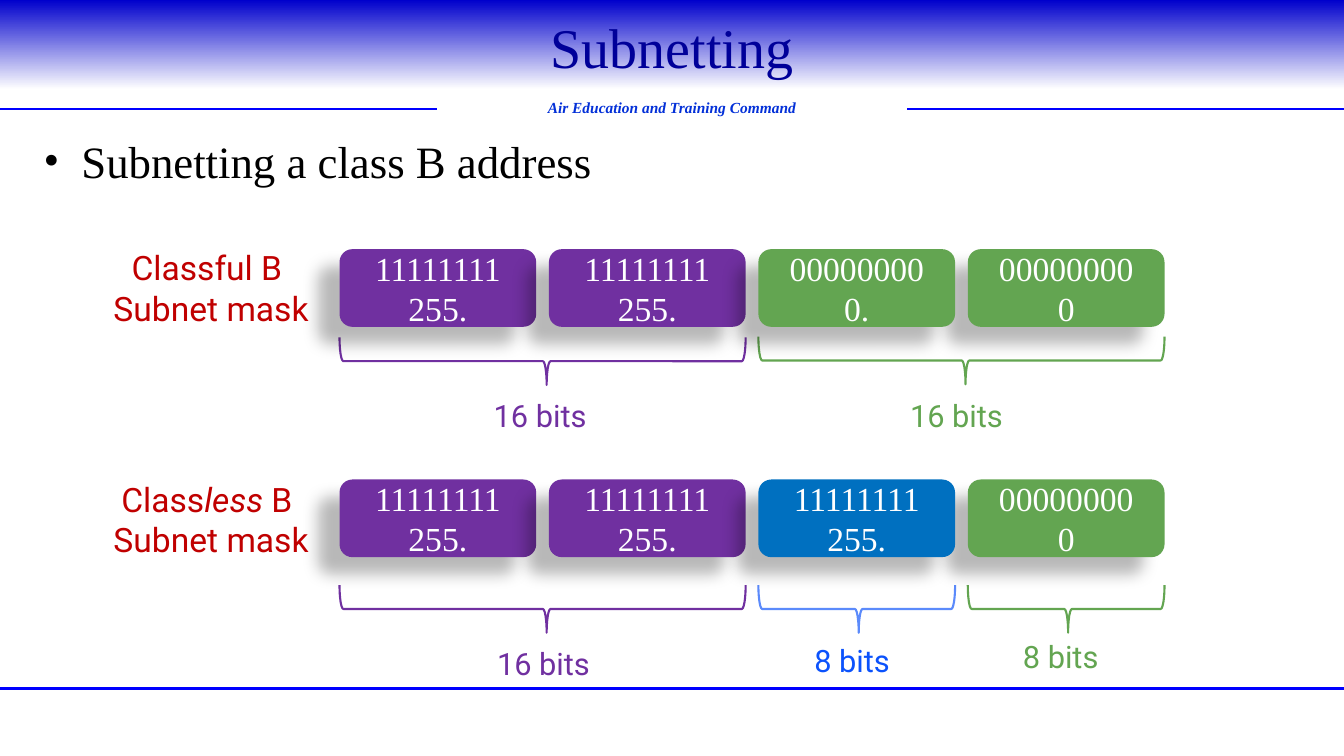
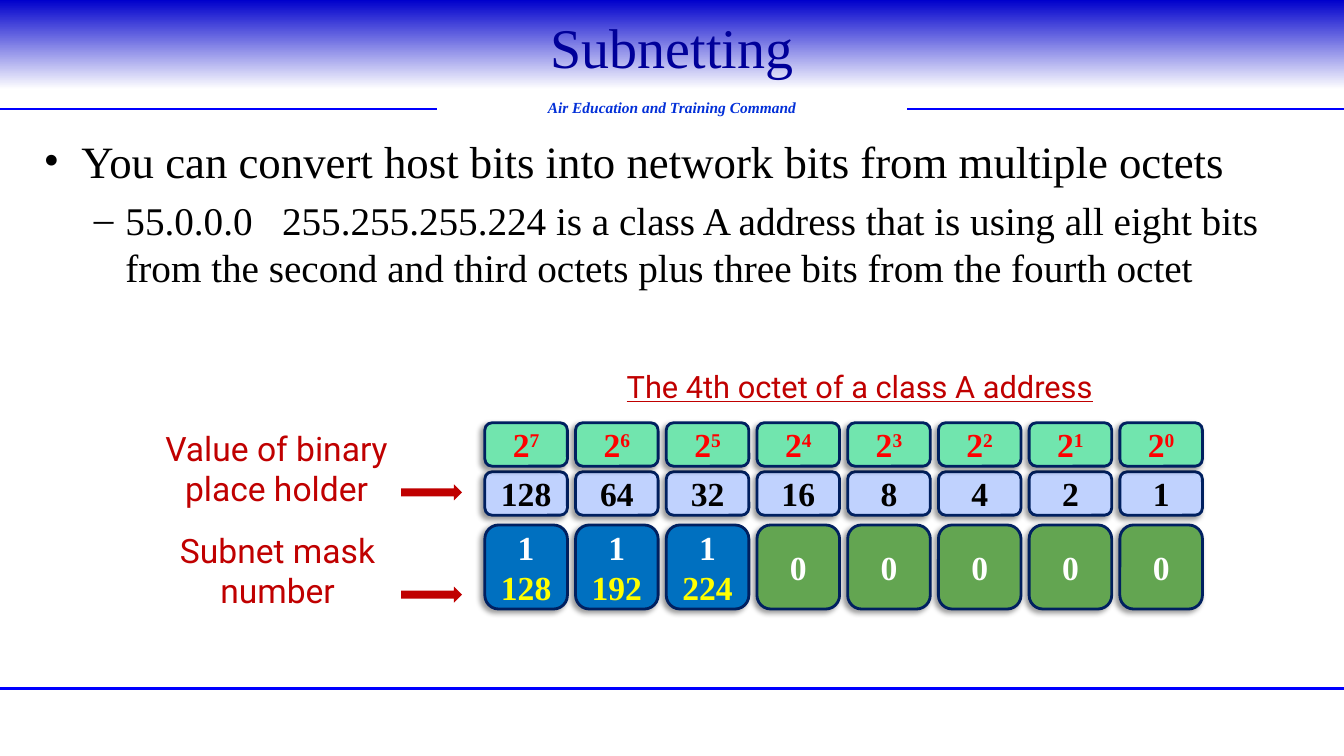
from lxml import etree
from pptx import Presentation
from pptx.dml.color import RGBColor
from pptx.enum.shapes import MSO_CONNECTOR, MSO_SHAPE
from pptx.enum.text import MSO_ANCHOR, MSO_AUTO_SIZE, PP_ALIGN
from pptx.oxml.ns import qn
from pptx.util import Pt

RECTANGLE = MSO_SHAPE.RECTANGLE
ROUNDED = MSO_SHAPE.ROUNDED_RECTANGLE
BRACE = MSO_SHAPE.RIGHT_BRACE
ARROW = MSO_SHAPE.RIGHT_ARROW
STRAIGHT = MSO_CONNECTOR.STRAIGHT
LEFT, CENTER = PP_ALIGN.LEFT, PP_ALIGN.CENTER
TOP, MIDDLE = MSO_ANCHOR.TOP, MSO_ANCHOR.MIDDLE
FIT_SHAPE = MSO_AUTO_SIZE.SHAPE_TO_FIT_TEXT

BLACK = RGBColor(0x00, 0x00, 0x00)
WHITE = RGBColor(0xFF, 0xFF, 0xFF)
BAND_BLUE = RGBColor(0x00, 0x00, 0xCC)
RULE_BLUE = RGBColor(0x00, 0x00, 0xFF)
TITLE_BLUE = RGBColor(0x00, 0x00, 0x99)
CAPTION_BLUE = RGBColor(0x03, 0x30, 0xD8)
PURPLE = RGBColor(0x70, 0x30, 0xA0)
GREEN = RGBColor(0x63, 0xA5, 0x51)
BLUE = RGBColor(0x00, 0x70, 0xC0)
BRACE_BLUE = RGBColor(0x5B, 0x8A, 0xFB)
LABEL_BLUE = RGBColor(0x0B, 0x52, 0xFC)
DARK_RED = RGBColor(0xC0, 0x00, 0x00)
RED = RGBColor(0xFF, 0x00, 0x00)
YELLOW = RGBColor(0xFF, 0xFF, 0x00)
MINT = RGBColor(0x71, 0xE5, 0xAE)
PALE_BLUE = RGBColor(0xC0, 0xD2, 0xFE)
NAVY = RGBColor(0x00, 0x20, 0x60)

SERIF, SANS = "Times New Roman", "Roboto"
TITLE = {"name": SERIF, "size": Pt(40), "color": TITLE_BLUE}
CAPTION = {"name": SERIF, "size": Pt(11), "color": CAPTION_BLUE, "bold": True, "italic": True}
BODY = {"name": SERIF, "size": Pt(32), "color": BLACK}
DETAIL = BODY | {"size": Pt(28)}
OCTET = {"name": SERIF, "size": Pt(24), "color": WHITE}
CELL = OCTET | {"bold": True}
LABEL = {"name": SANS, "size": Pt(24), "color": DARK_RED}
SMALL_LABEL = LABEL | {"size": Pt(22)}

OCTET_SHADOW = {"alpha": 28, "blur": 11.8, "distance": 19.7, "angle": 141}
CELL_SHADOW = {"alpha": 40, "blur": 4, "distance": 3, "angle": 135}


def write(shape, paragraphs, alignment=CENTER, anchor=MIDDLE, wrap=True):
    frame = shape.text_frame
    frame.word_wrap = wrap
    frame.vertical_anchor = anchor
    if not wrap:
        frame.auto_size = FIT_SHAPE
    for index, runs in enumerate(paragraphs):
        paragraph = frame.add_paragraph() if index else frame.paragraphs[0]
        paragraph.alignment = alignment
        for text, style in runs:
            run = paragraph.add_run()
            run.text = text
            for name, value in style.items():
                if name == "color":
                    run.font.color.rgb = value
                elif name in ("baseline", "spc"):
                    run._r.get_or_add_rPr().set(name, str(value))
                else:
                    setattr(run.font, name, value)


def add_panel(slide, kind, box, fill=None, line=None, width=2, shadow=None):
    shape = slide.shapes.add_shape(kind, *map(Pt, box))
    shape.shadow.inherit = False
    if fill is None:
        shape.fill.background()
    else:
        shape.fill.solid()
        shape.fill.fore_color.rgb = fill
    if line is None:
        shape.line.fill.background()
    else:
        shape.line.color.rgb = line
        shape.line.width = Pt(width)
    if shadow:
        effects = shape._element.spPr.find(qn("a:effectLst"))
        outer = etree.SubElement(
            effects, qn("a:outerShdw"), blurRad=str(Pt(shadow["blur"])),
            dist=str(Pt(shadow["distance"])), dir=str(shadow["angle"] * 60000),
            algn="ctr", rotWithShape="0")
        color = etree.SubElement(outer, qn("a:srgbClr"), val=str(BLACK))
        etree.SubElement(color, qn("a:alpha"), val=str(shadow["alpha"] * 1000))
    return shape


presentation = Presentation()
presentation.slide_width = Pt(960)
presentation.slide_height = Pt(540)
blank = presentation.slide_layouts[6]

bodies = [
    [[("Subnetting a class B address", BODY)]],
    [
        [("You can convert host bits into network bits from multiple octets", BODY)],
        [
            ("55.0.0.0", DETAIL),
            (" ", DETAIL | {"spc": 1400}),
            ("255.255.255.224 is a class A address that is using all eight bits "
             "from the second and third octets plus three bits from the fourth octet", DETAIL),
        ],
    ],
]
rules = [(0, 960, 492, 2), (0, 312, 78, 1.5), (648, 960, 78, 1.5)]
bullets = [("•", 27, 27, 0), ("–", 58.5, 22.5, 6)]

for body in bodies:
    slide = presentation.slides.add_slide(blank)
    band = add_panel(slide, RECTANGLE, (0, 0, 960, 64))
    band.fill.gradient()
    band.fill.gradient_angle = 270
    for stop, color in zip(band.fill.gradient_stops, (BAND_BLUE, WHITE)):
        stop.color.rgb = color

    for start, end, y, width in rules:
        rule = slide.shapes.add_connector(STRAIGHT, Pt(start), Pt(y), Pt(end), Pt(y))
        rule.line.color.rgb = RULE_BLUE
        rule.line.width = Pt(width)
        etree.SubElement(rule._element.spPr, qn("a:effectLst"))

    caption = slide.shapes.add_textbox(Pt(312), Pt(66), Pt(336), Pt(21))
    write(caption, [[("Air Education and Training Command", CAPTION)]])
    title = slide.shapes.add_textbox(Pt(96), Pt(0), Pt(768), Pt(66))
    write(title, [[("Subnetting", TITLE)]])
    content = slide.shapes.add_textbox(Pt(24), Pt(92), Pt(912), Pt(394))
    write(content, body, LEFT, TOP)
    for paragraph, (symbol, indent, hanging, before) in zip(content.text_frame.paragraphs, bullets):
        paragraph.space_before = Pt(before)
        properties = paragraph._p.get_or_add_pPr()
        properties.set("marL", str(Pt(indent)))
        properties.set("indent", str(Pt(-hanging)))
        etree.SubElement(properties, qn("a:buFont"), typeface=SERIF)
        etree.SubElement(properties, qn("a:buChar"), char=symbol)

class_b_slide, class_a_slide = presentation.slides

OCTET_LEFT, OCTET_STEP, OCTET_WIDTH, OCTET_HEIGHT = 242.5, 149.6, 140.5, 55.5
BRACE_DEPTH = 34

braces = [
    (0, 2, 241, PURPLE, PURPLE, "16 bits", 345.6, 280),
    (2, 2, 240.5, GREEN, GREEN, "16 bits", 643, 280),
    (0, 2, 418, PURPLE, PURPLE, "16 bits", 348, 457),
    (3, 1, 418, GREEN, GREEN, "8 bits", 723.6, 452),
    (2, 1, 418, BRACE_BLUE, LABEL_BLUE, "8 bits", 574.6, 455),
]
for first, count, top, line, color, text, label_left, label_top in braces:
    span = (count - 1) * OCTET_STEP + OCTET_WIDTH
    center = OCTET_LEFT + first * OCTET_STEP + span / 2
    box = (center - BRACE_DEPTH / 2, top + (BRACE_DEPTH - span) / 2, BRACE_DEPTH, span)
    brace = add_panel(class_b_slide, BRACE, box, line=line, width=1.5)
    brace.rotation = 90
    brace.adjustments[0] = 0.08
    brace.adjustments[1] = 0.49
    label = class_b_slide.shapes.add_textbox(Pt(label_left), Pt(label_top), Pt(88), Pt(34))
    write(label, [[(text, SMALL_LABEL | {"color": color})]], LEFT, TOP, wrap=False)

network = (PURPLE, "11111111", "255.")
subnet = (BLUE, "11111111", "255.")
host = (GREEN, "00000000", "0.")
last_host = (GREEN, "00000000", "0")
masks = [
    (342.5, 338.5, [network, network, subnet, last_host],
     [("Class", LABEL), ("less", LABEL | {"italic": True}), (" B ", LABEL)]),
    (178, 173, [network, network, host, last_host], [("Classful B ", LABEL)]),
]
for top, label_top, octets, heading in masks:
    for column in (0, 3, 1, 2):
        fill, bits, decimal = octets[column]
        box = (OCTET_LEFT + column * OCTET_STEP, top, OCTET_WIDTH, OCTET_HEIGHT)
        octet = add_panel(class_b_slide, ROUNDED, box, fill, shadow=OCTET_SHADOW)
        write(octet, [[(bits, OCTET)], [(decimal, OCTET)]])
    label = class_b_slide.shapes.add_textbox(Pt(65.5), Pt(label_top), Pt(170.5), Pt(65.5))
    write(label, [heading, [("Subnet mask", LABEL)]], anchor=TOP, wrap=False)

heading = class_a_slide.shapes.add_textbox(Pt(440.6), Pt(259), Pt(378), Pt(34))
write(heading, [[("The 4th octet of a class A address", SMALL_LABEL | {"underline": True})]],
      LEFT, TOP, wrap=False)

mask_values = ["128", "192", "224"]
for column in range(8):
    power = 7 - column
    place = [[(str(2 ** power), CELL | {"color": BLACK})]]
    exponent = [[("2", CELL | {"color": RED}),
                 (str(power), CELL | {"color": RED, "baseline": 30000})]]
    if column < len(mask_values):
        bit_fill = BLUE
        bit = [[("1", CELL)], [(mask_values[column], CELL | {"color": YELLOW})]]
    else:
        bit_fill = GREEN
        bit = [[("0", CELL)]]
    cells = [(337, 31, PALE_BLUE, place), (302, 31, MINT, exponent), (375, 60, bit_fill, bit)]
    for top, height, fill, paragraphs in cells:
        box = (346.3 + column * 64.8, top, 59, height)
        cell = add_panel(class_a_slide, ROUNDED, box, fill, NAVY, shadow=CELL_SHADOW)
        write(cell, paragraphs)

row_labels = [
    (101, 302, 193, 346, ["Value of binary", "place holder"]),
    (113, 375, 170.5, 419, ["Subnet mask", "number"]),
]
for left, top, width, arrow_top, lines in row_labels:
    label = class_a_slide.shapes.add_textbox(Pt(left), Pt(top), Pt(width), Pt(65.5))
    write(label, [[(line, LABEL)] for line in lines], anchor=TOP, wrap=False)
    add_panel(class_a_slide, ARROW, (286.5, arrow_top, 43.5, 11.5), DARK_RED)

presentation.save("out.pptx")
